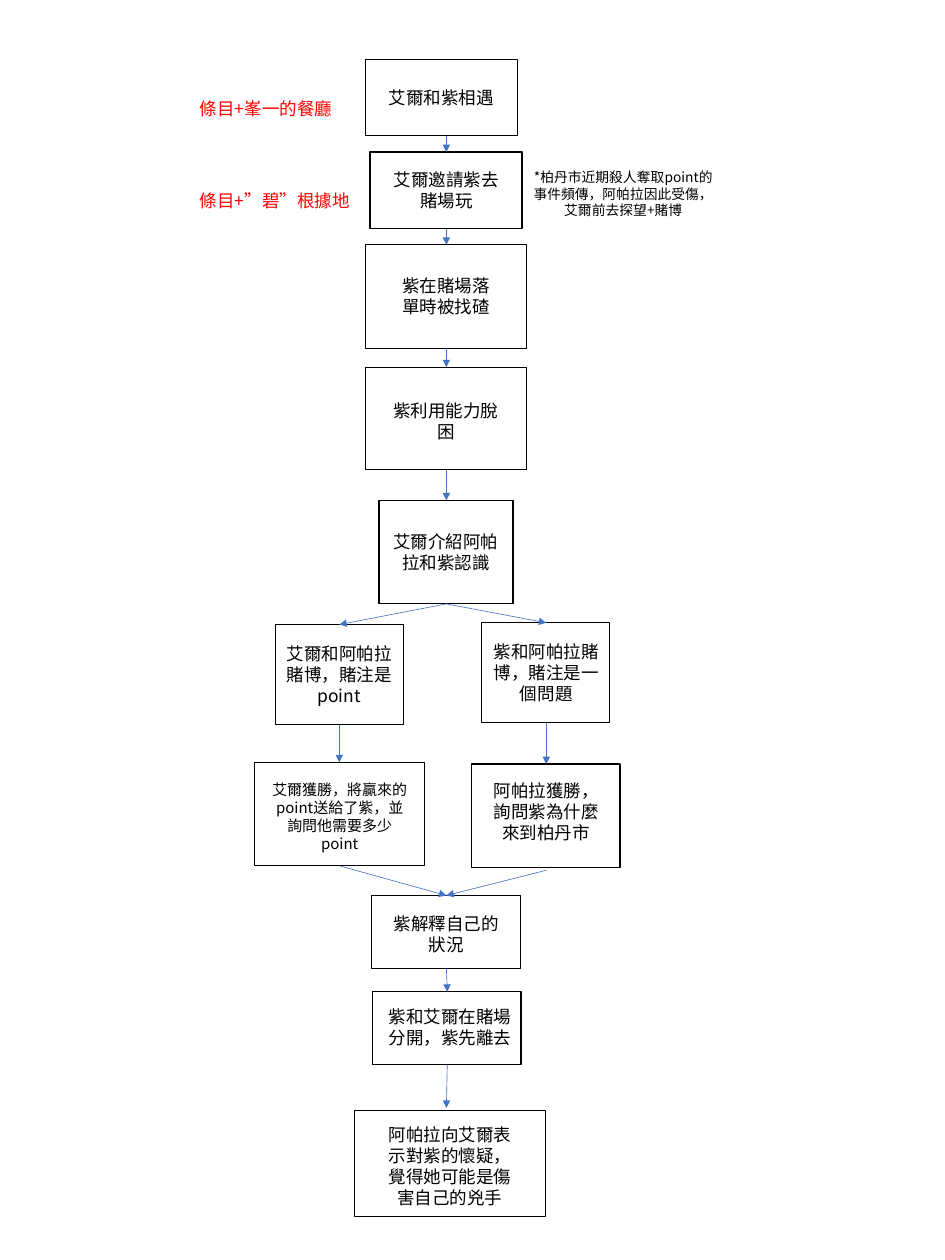
from lxml import etree
from pptx import Presentation
from pptx.dml.color import RGBColor
from pptx.enum.shapes import MSO_CONNECTOR, MSO_SHAPE
from pptx.enum.text import MSO_AUTO_SIZE, PP_ALIGN
from pptx.oxml.ns import qn
from pptx.util import Inches, Pt

RECT = MSO_SHAPE.RECTANGLE
STRAIGHT = MSO_CONNECTOR.STRAIGHT
GROW = MSO_AUTO_SIZE.SHAPE_TO_FIT_TEXT
LEFT, CENTER = PP_ALIGN.LEFT, PP_ALIGN.CENTER
FONT = "Noto Sans CJK SC"
COLORS = {"box": "FFFFFF", "ink": "000000", "arrow": "4472C4", "place": "FF0000"}


def rgb(name):
    return RGBColor.from_string(COLORS[name])


def add_label(shapes, at, text, size=14, color="ink", align=CENTER):
    sp = shapes.add_textbox(*map(Inches, at))
    tf = sp.text_frame
    tf.word_wrap = True
    tf.auto_size = GROW
    tf.text = text
    p = tf.paragraphs[0]
    p.alignment = align
    r = p.runs[0]
    r.font.size = Pt(size)
    r.font.name = FONT
    r.font.color.rgb = rgb(color)
    etree.SubElement(r.font._element, qn("a:ea"), typeface=FONT)


prs = Presentation()
prs.slide_width = Inches(10.5)
prs.slide_height = Inches(14)
s = prs.slides.add_slide(prs.slide_layouts[6])

steps = [
    ((4.06, 0.66, 1.69, 0.85), (4.16, 0.92, 1.49, 0.34), "艾爾和紫相遇", 14),
    ((4.11, 1.69, 1.69, 0.85), (4.26, 1.83, 1.4, 0.57), "艾爾邀請紫去賭場玩", 14),
    ((4.06, 2.72, 1.79, 1.15), (4.28, 3.01, 1.35, 0.57), "紫在賭場落單時被找碴", 14),
    ((4.06, 4.08, 1.79, 1.14), (4.22, 4.39, 1.47, 0.57), "紫利用能力脫困", 14),
    ((4.21, 5.56, 1.49, 1.15), (4.23, 5.85, 1.45, 0.57), "艾爾介紹阿帕拉和紫認識", 14),
    ((3.06, 6.94, 1.42, 1.11), (3.06, 7.09, 1.42, 0.81), "艾爾和阿帕拉賭博，賭注是point", 14),
    ((5.35, 6.92, 1.42, 1.11), (5.38, 7.07, 1.38, 0.81), "紫和阿帕拉賭博，賭注是一個問題", 14),
    ((2.83, 8.47, 1.89, 1.15), (2.92, 8.62, 1.71, 0.71),
     "艾爾獲勝，將贏來的point送給了紫，並詢問他需要多少point", 12),
    ((5.24, 8.49, 1.65, 1.15), (5.32, 8.62, 1.5, 1.04), "阿帕拉獲勝，詢問紫為什麼來到柏丹市", 14),
    ((4.13, 9.95, 1.65, 0.81), (4.21, 10.09, 1.5, 0.57), "紫解釋自己的狀況", 14),
    ((4.14, 11.02, 1.65, 0.81), (4.21, 11.13, 1.58, 0.57), "紫和艾爾在賭場分開，紫先離去", 14),
    ((3.94, 12.34, 2.12, 1.18), (4.13, 12.44, 1.74, 1.04),
     "阿帕拉向艾爾表示對紫的懷疑，覺得她可能是傷害自己的兇手", 14),
]
for box_at, label_at, text, size in steps:
    group = s.shapes.add_group_shape()
    sp = group.shapes.add_shape(RECT, *map(Inches, box_at))
    sp.shadow.inherit = False
    sp.fill.solid()
    sp.fill.fore_color.rgb = rgb("box")
    sp.line.color.rgb = rgb("ink")
    sp.line.width = Pt(1)
    add_label(group.shapes, label_at, text, size)

MID, WEST, EAST = 4.96, 3.77, 6.07
arrows = [
    (MID, 1.51, MID, 1.69),
    (MID, 2.54, MID, 2.72),
    (MID, 3.87, MID, 4.08),
    (MID, 5.22, MID, 5.56),
    (MID, 6.71, WEST, 6.94),
    (MID, 6.71, EAST, 6.92),
    (WEST, 8.05, WEST, 8.47),
    (EAST, 8.03, EAST, 8.49),
    (WEST, 9.62, MID, 9.95),
    (EAST, 9.67, MID, 9.95),
    (MID, 10.76, 4.97, 11.02),
    (4.97, 11.83, MID, 12.31),
]
for ends in arrows:
    arrow = s.shapes.add_connector(STRAIGHT, *map(Inches, ends))
    arrow.line.color.rgb = rgb("arrow")
    arrow.line.width = Pt(0.5)
    etree.SubElement(arrow.line._get_or_add_ln(), qn("a:tailEnd"), type="triangle")
    etree.SubElement(arrow._element.spPr, qn("a:effectLst"))

add_label(s.shapes, (5.82, 1.83, 2.21, 0.66),
          "*柏丹市近期殺人奪取point的事件頻傳，阿帕拉因此受傷，艾爾前去探望+賭博", 11)
for top, place in [(2.06, "條目+”碧”根據地"), (1.04, "條目+峯一的餐廳")]:
    add_label(s.shapes, (2.12, top, 1.94, 0.34), place, color="place", align=LEFT)

prs.save("out.pptx")
